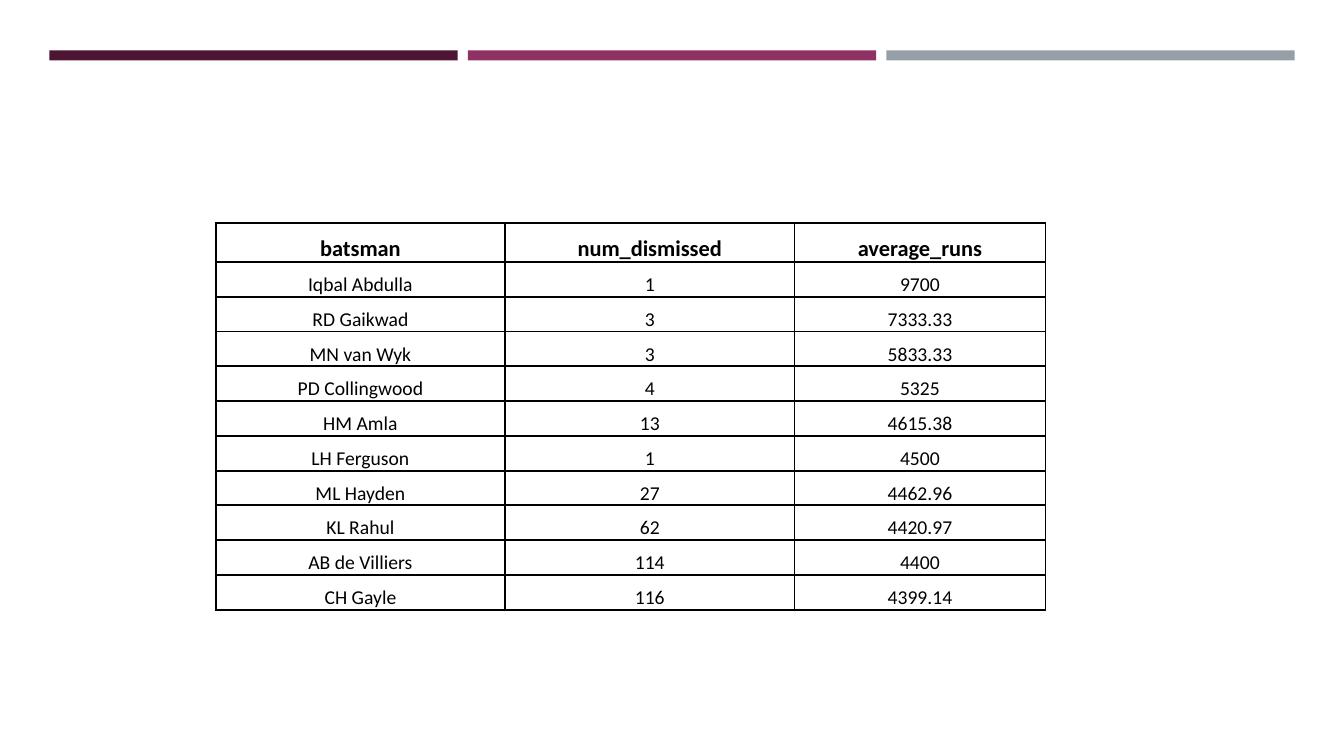
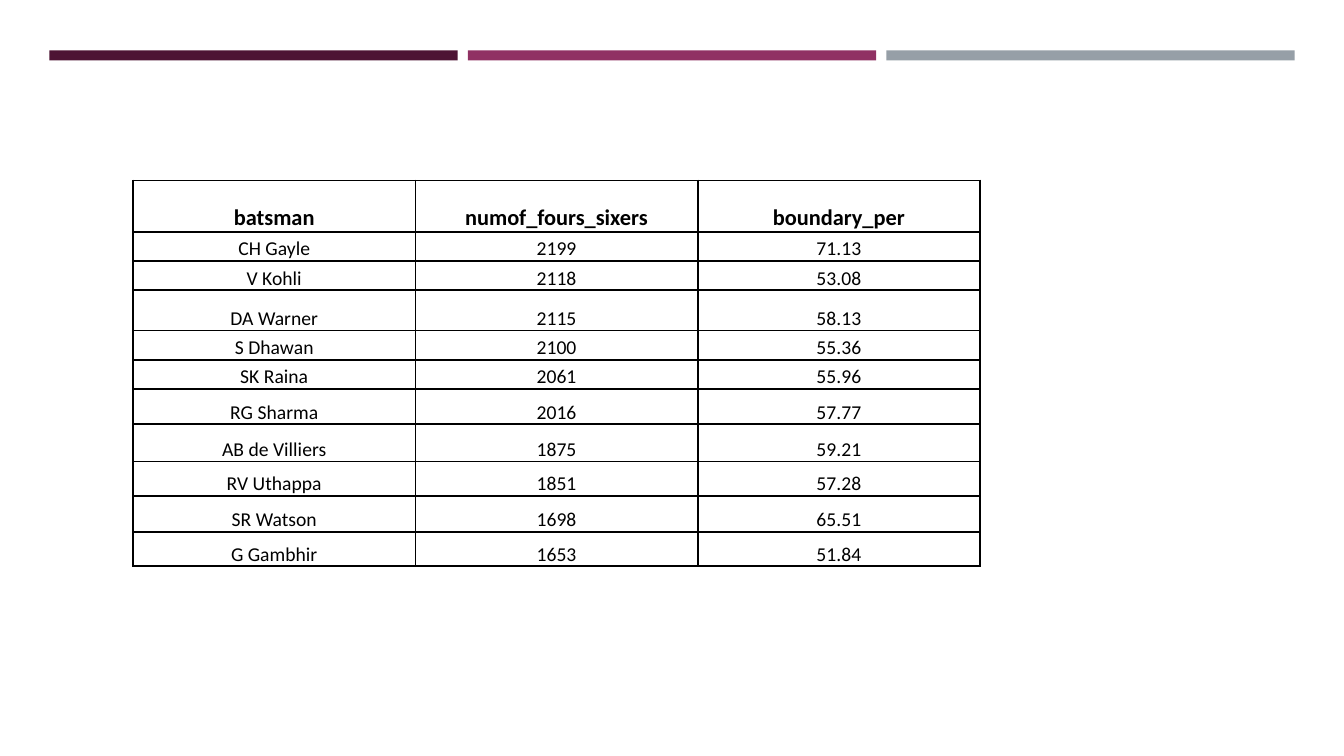
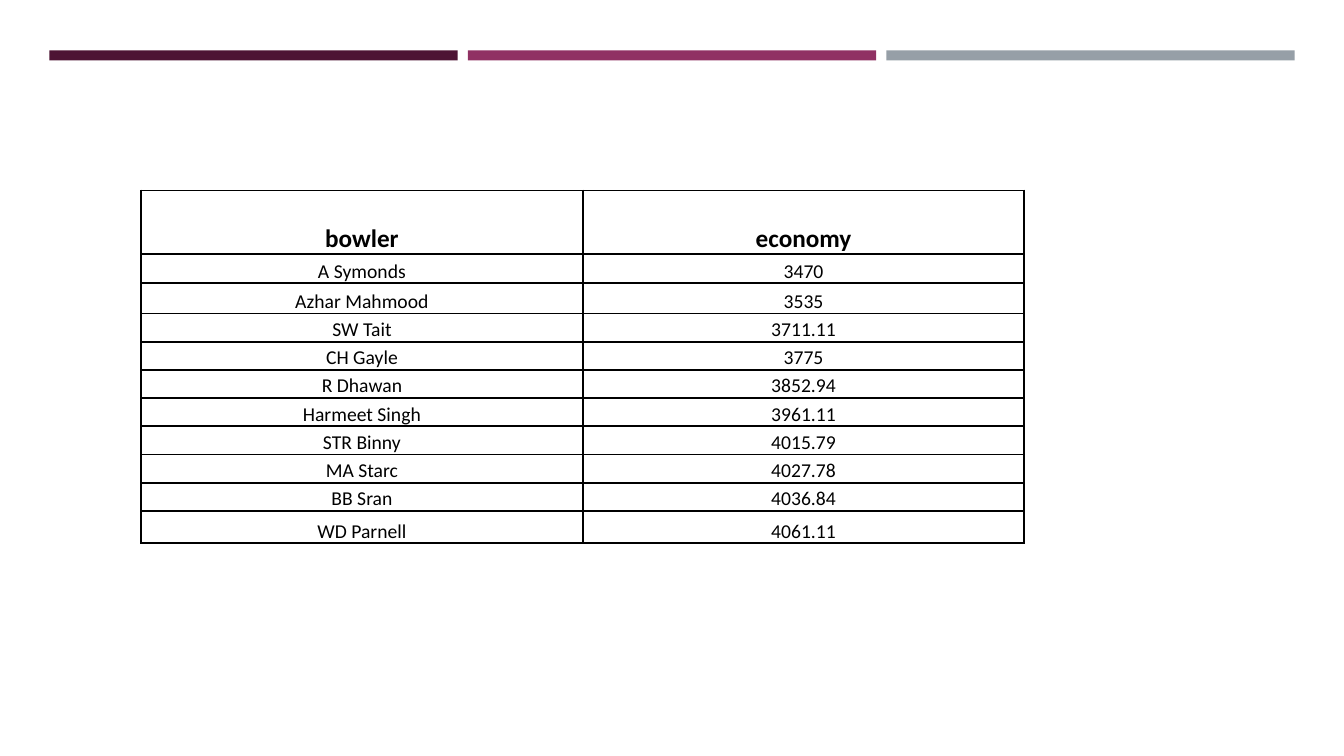
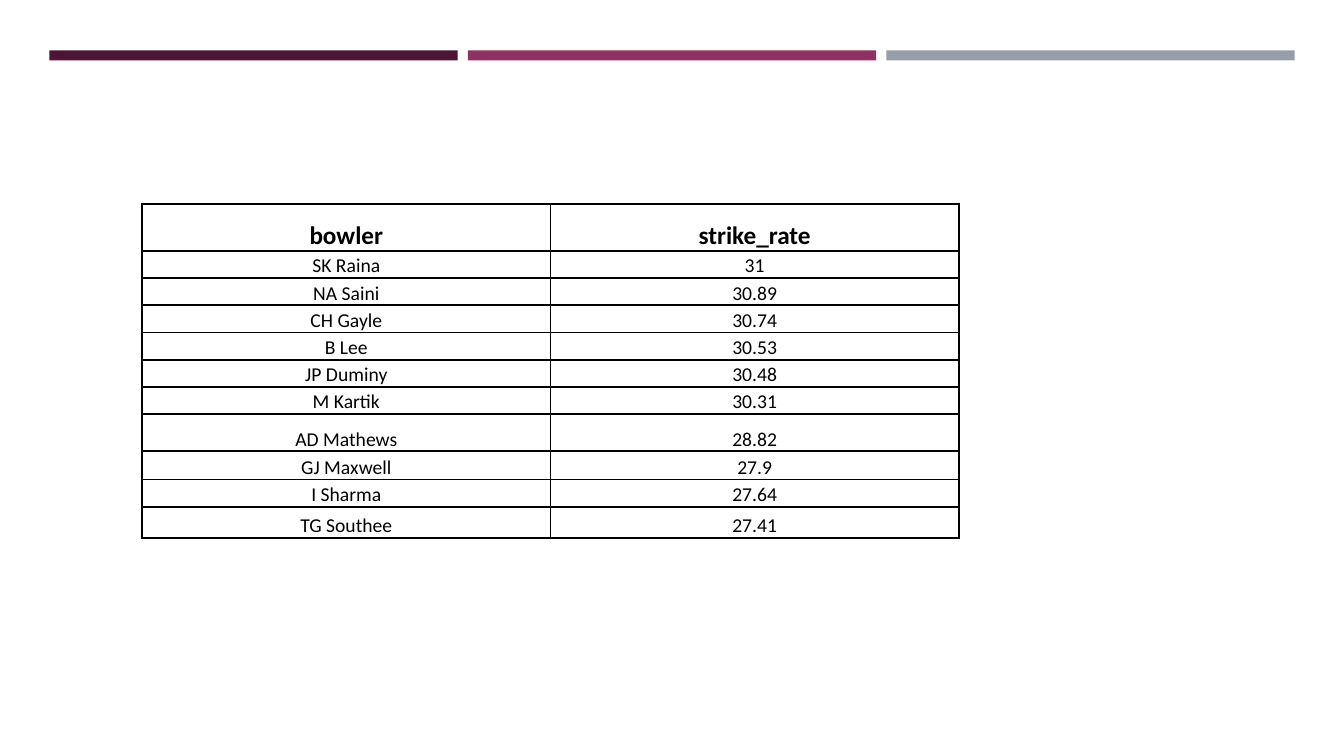
from lxml.etree import SubElement
from pptx import Presentation
from pptx.dml.color import RGBColor
from pptx.enum.shapes import MSO_SHAPE as Shape
from pptx.enum.text import MSO_ANCHOR as Anchor, PP_ALIGN as Align
from pptx.oxml.ns import qn
from pptx.util import Inches, Pt


def rgb(hex_code):
    return RGBColor.from_string(hex_code)


class Deck:
    FONT = "Calibri"
    INK = "000000"
    BANDS = ("4D1434", "903163", "969FA7")
    BAND_LEFT, BAND_TOP, BAND_WIDTH, BAND_HEIGHT, BAND_GAP = 0.49, 0.5, 4.05, 0.1, 0.1
    BORDER = Pt(1.5)
    BODY_SIZE = 14

    def __init__(self):
        self.prs = Presentation()
        self.prs.slide_width, self.prs.slide_height = Inches(13.33), Inches(7.5)
        self.slide = None

    def new_slide(self):
        self.slide = self.prs.slides.add_slide(self.prs.slide_layouts[6])
        for i, color in enumerate(self.BANDS):
            self.band(self.BAND_LEFT + i * (self.BAND_WIDTH + self.BAND_GAP), color)

    def band(self, left, color):
        band = self.slide.shapes.add_shape(
            Shape.RECTANGLE, Inches(left), Inches(self.BAND_TOP),
            Inches(self.BAND_WIDTH), Inches(self.BAND_HEIGHT))
        band.shadow.inherit = False
        band.fill.solid()
        band.fill.fore_color.rgb = rgb(color)
        band.line.fill.background()

    def table(self, left, top, widths, heights, header_size, records):
        table = self.slide.shapes.add_table(
            len(records), len(widths), Inches(left), Inches(top),
            Inches(sum(widths)), Inches(sum(heights))).table
        table.first_row = table.horz_banding = False
        for column, width in zip(table.columns, widths):
            column.width = Inches(width)
        for r, (row, height, record) in enumerate(zip(table.rows, heights, records)):
            row.height = Inches(height)
            size = self.BODY_SIZE if r else header_size
            for cell, value in zip(row.cells, record):
                self.cell(cell, value, size, bold=r == 0)

    def cell(self, cell, value, size, bold):
        cell.margin_left = cell.margin_right = cell.margin_top = Inches(0.01)
        cell.margin_bottom = 0
        cell.vertical_anchor = Anchor.BOTTOM
        self.borders(cell)
        cell.fill.background()
        paragraph = cell.text_frame.paragraphs[0]
        paragraph.text = value
        paragraph.alignment = Align.CENTER
        font = paragraph.runs[0].font
        font.name, font.size, font.bold = self.FONT, Pt(size), bold
        font.color.rgb = rgb(self.INK)

    def borders(self, cell):
        properties = cell._tc.get_or_add_tcPr()
        for side in ("lnL", "lnR", "lnT", "lnB"):
            line = SubElement(properties, qn(f"a:{side}"), w=str(self.BORDER))
            fill = SubElement(line, qn("a:solidFill"))
            SubElement(fill, qn("a:srgbClr"), val=self.INK)


# Rankings
AVERAGE_RUNS = [
    ("batsman", "num_dismissed", "average_runs"),
    ("Iqbal Abdulla", "1", "9700"),
    ("RD Gaikwad", "3", "7333.33"),
    ("MN van Wyk", "3", "5833.33"),
    ("PD Collingwood", "4", "5325"),
    ("HM Amla", "13", "4615.38"),
    ("LH Ferguson", "1", "4500"),
    ("ML Hayden", "27", "4462.96"),
    ("KL Rahul", "62", "4420.97"),
    ("AB de Villiers", "114", "4400"),
    ("CH Gayle", "116", "4399.14"),
]
BOUNDARIES = [
    ("batsman", "numof_fours_sixers", "boundary_per"),
    ("CH Gayle", "2199", "71.13"),
    ("V Kohli", "2118", "53.08"),
    ("DA Warner", "2115", "58.13"),
    ("S Dhawan", "2100", "55.36"),
    ("SK Raina", "2061", "55.96"),
    ("RG Sharma", "2016", "57.77"),
    ("AB de Villiers", "1875", "59.21"),
    ("RV Uthappa", "1851", "57.28"),
    ("SR Watson", "1698", "65.51"),
    ("G Gambhir", "1653", "51.84"),
]
ECONOMY = [
    ("bowler", "economy"),
    ("A Symonds", "3470"),
    ("Azhar Mahmood", "3535"),
    ("SW Tait", "3711.11"),
    ("CH Gayle", "3775"),
    ("R Dhawan", "3852.94"),
    ("Harmeet Singh", "3961.11"),
    ("STR Binny", "4015.79"),
    ("MA Starc", "4027.78"),
    ("BB Sran", "4036.84"),
    ("WD Parnell", "4061.11"),
]
STRIKE_RATE = [
    ("bowler", "strike_rate"),
    ("SK Raina", "31"),
    ("NA Saini", "30.89"),
    ("CH Gayle", "30.74"),
    ("B Lee", "30.53"),
    ("JP Duminy", "30.48"),
    ("M Kartik", "30.31"),
    ("AD Mathews", "28.82"),
    ("GJ Maxwell", "27.9"),
    ("I Sharma", "27.64"),
    ("TG Southee", "27.41"),
]

# One slide each: left, top, column widths, row heights, header size, records
SLIDES = [
    (2.14, 2.21, [2.87, 2.87, 2.49], [0.39] + [3.45 / 10] * 10, 16, AVERAGE_RUNS),
    (1.32, 1.79, [2.8] * 3,
     [0.51, 0.29, 0.29, 0.4, 0.29, 0.29, 0.35, 0.37, 0.34, 0.36, 0.34], 16, BOUNDARIES),
    (1.4, 1.89, [4.38] * 2, [0.63, 0.29, 0.3] + [0.28] * 7 + [0.32], 18, ECONOMY),
    (1.41, 2.02, [4.05] * 2,
     [0.47] + [0.27] * 6 + [0.37, 0.28, 0.27, 0.31], 18, STRIKE_RATE),
]


def main():
    deck = Deck()
    for ranking in SLIDES:
        deck.new_slide()
        deck.table(*ranking)
    deck.prs.save("out.pptx")


if __name__ == "__main__":
    main()
